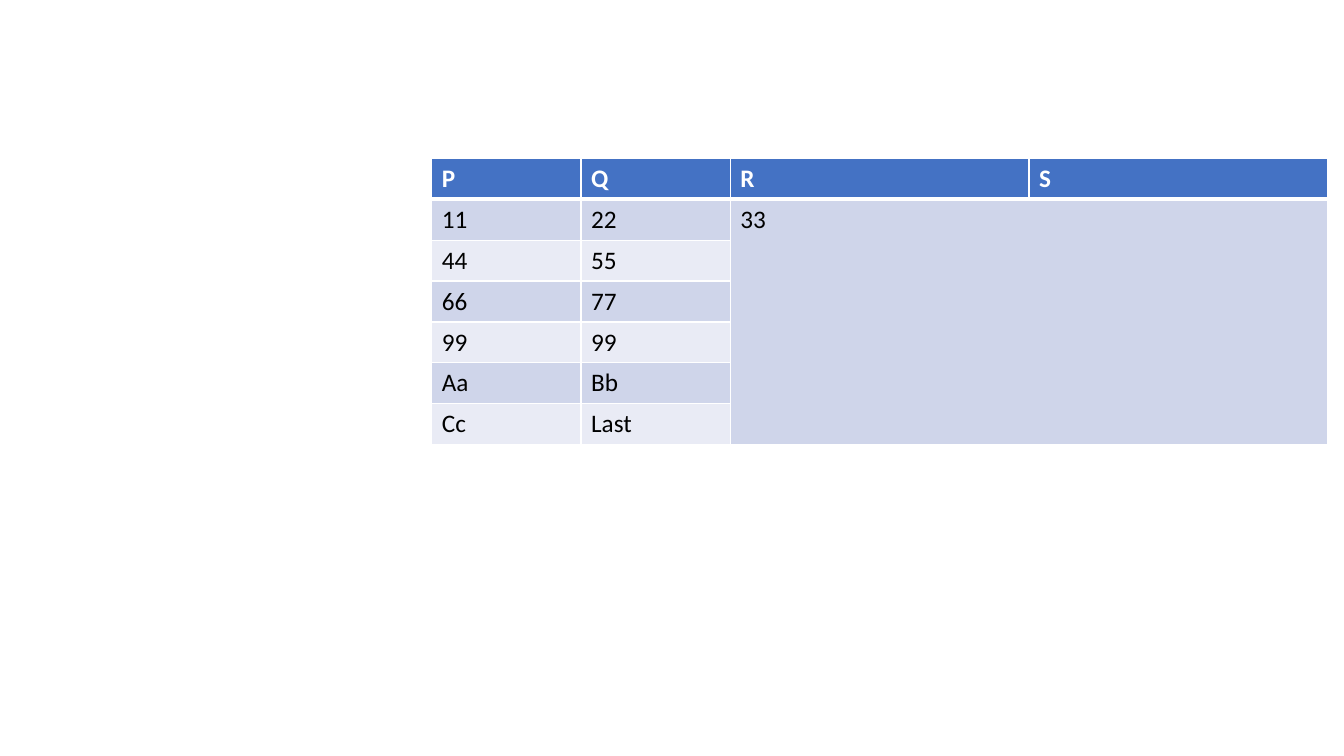
from pptx import Presentation
from pptx.dml.color import RGBColor
from pptx.oxml.ns import qn
from pptx.util import Pt
from lxml import etree

WHITE, BLACK = "FFFFFF", "000000"
HEADER, BAND_DARK, BAND_LIGHT = "4472C4", "CFD5EA", "E9EBF5"


def rgb(color):
    return RGBColor.from_string(color)


class SlideBuilder:
    font = "Calibri"
    size = 18

    def __init__(self, prs):
        self.s = prs.slides.add_slide(prs.slide_layouts[6])

    def border(self, cell, side, width):
        tcPr = cell._tc.get_or_add_tcPr()
        ln = etree.SubElement(tcPr, qn("a:ln" + side), w=str(Pt(width)))
        fill = etree.SubElement(ln, qn("a:solidFill"))
        etree.SubElement(fill, qn("a:srgbClr"), val=WHITE)

    def cell(self, cell, text, fill, color, bold, top, bottom):
        # Borders come before the fill in the cell properties
        for side, width in (("L", 1), ("R", 1), ("T", top), ("B", bottom)):
            self.border(cell, side, width)
        cell.fill.solid()
        cell.fill.fore_color.rgb = rgb(fill)
        r = cell.text_frame.paragraphs[0].add_run()
        r.text = text
        r.font.name = self.font
        r.font.size = Pt(self.size)
        r.font.bold = bold
        r.font.color.rgb = rgb(color)

    def table(self, left, top, widths, row_height, rows, merge):
        height = row_height * len(rows)
        table = self.s.shapes.add_table(
            len(rows), len(widths), Pt(left), Pt(top),
            Pt(sum(widths)), Pt(height)).table
        table.horz_banding = False
        for column, width in zip(table.columns, widths):
            column.width = Pt(width)
        for row in table.rows:
            row.height = Pt(row_height)
        first, last = merge
        table.cell(*first).merge(table.cell(*last))

        for i, row in enumerate(rows):
            is_header = i == 0
            band = BAND_DARK if i % 2 else BAND_LIGHT
            for j, text in enumerate(row):
                self.cell(table.cell(i, j), text,
                          fill=HEADER if is_header else band,
                          color=WHITE if is_header else BLACK,
                          bold=is_header,
                          top=3 if i == 1 else 1,
                          bottom=3 if is_header else 1)


def main():
    prs = Presentation()
    prs.slide_width, prs.slide_height = Pt(960), Pt(540)
    slide = SlideBuilder(prs)

    # Table with one large merged cell under R and S
    rows = [
        ["P", "Q", "R", "S"],
        ["11", "22", "33"],
        ["44", "55"],
        ["66", "77"],
        ["99", "99"],
        ["Aa", "Bb"],
        ["Cc", "Last"],
    ]
    slide.table(308.4, 113.2, [106.65, 106.65, 213.3, 213.3], 29.2, rows,
                merge=((1, 2), (6, 3)))

    prs.save("out.pptx")


if __name__ == "__main__":
    main()
